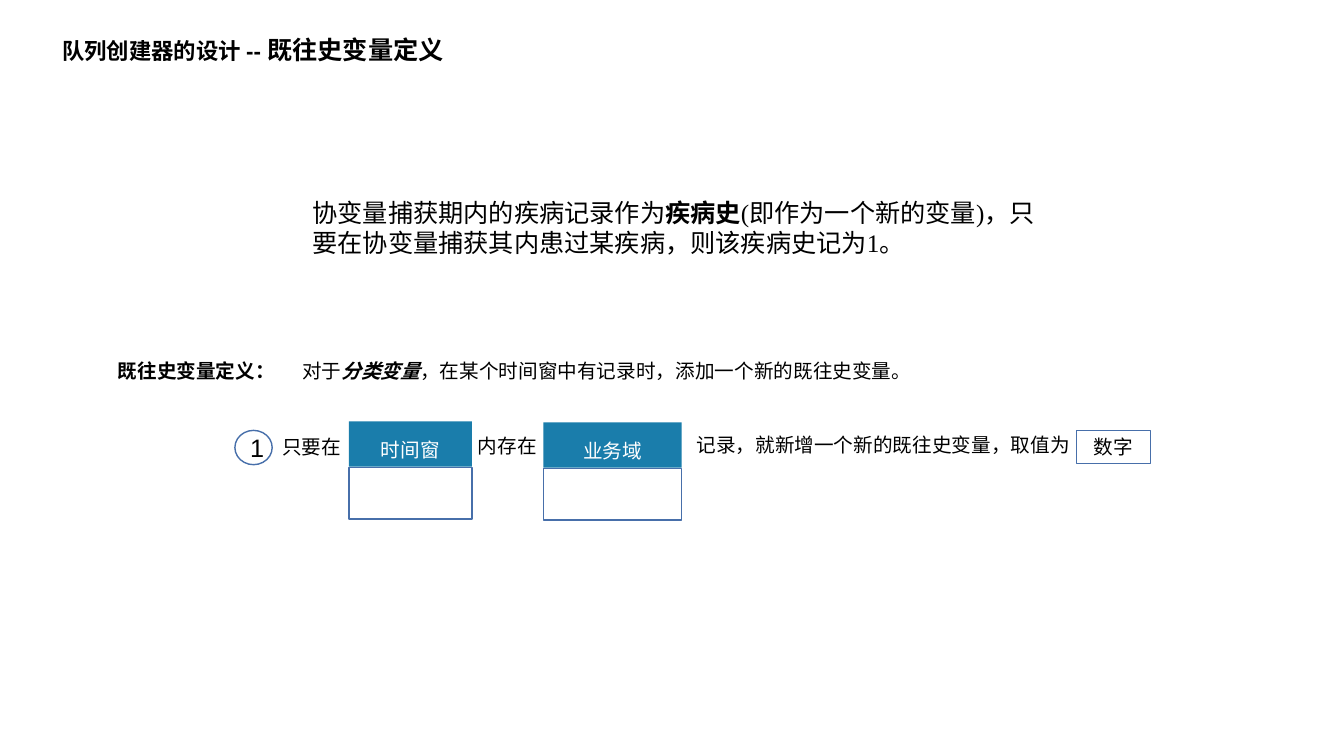
from pptx import Presentation
from pptx.dml.color import RGBColor
from pptx.enum import shapes, text
from pptx.util import Inches, Pt

BLUE, EDGE, BLACK, WHITE = "1A7DAB", "476FAA", "000000", "FFFFFF"
RECT = shapes.MSO_SHAPE.RECTANGLE
OVAL = shapes.MSO_SHAPE.OVAL


def color(code):
    return RGBColor.from_string(code)


def write(shape, runs, size=14, font="Arial", ink=BLACK, center=False, middle=False, gap=None):
    frame = shape.text_frame
    frame.word_wrap = True
    frame.vertical_anchor = text.MSO_ANCHOR.MIDDLE if middle else text.MSO_ANCHOR.TOP
    para = frame.paragraphs[0]
    para.alignment = text.PP_ALIGN.CENTER if center else text.PP_ALIGN.LEFT
    if gap:
        para.line_spacing = gap
    for words, style in runs:
        run = para.add_run()
        run.text = words
        face = run.font
        face.size = Pt(style.get("size", size))
        face.name = style.get("font", font)
        face.bold = style.get("bold", False)
        face.italic = style.get("italic", False)
        face.color.rgb = color(ink)


def label(slide, box, runs, **form):
    write(slide.shapes.add_textbox(*map(Inches, box)), runs, **form)


def block(parent, kind, box, fill=None, line=None):
    shape = parent.shapes.add_shape(kind, *map(Inches, box))
    shape.shadow.inherit = False
    if fill:
        shape.fill.solid()
        shape.fill.fore_color.rgb = color(fill)
    else:
        shape.fill.background()
    if line:
        shape.line.color.rgb = color(line)
        shape.line.width = Pt(1)
    else:
        shape.line.fill.background()
    return shape


def field(slide, left, top, width, name):
    group = slide.shapes.add_group_shape()
    head = block(group, RECT, (left, top, width, 0.45), fill=BLUE)
    write(head, [(name, {})], ink=WHITE, center=True, gap=1.5)
    block(group, RECT, (left, top + 0.46, width, 0.51), line=EDGE)


def badge(slide, kind, box, words, size):
    shape = block(slide, kind, box, line=EDGE)
    write(shape, [(words, {})], size=size, center=True, middle=True)


def main():
    deck = Presentation()
    deck.slide_width, deck.slide_height = Inches(13.33), Inches(7.5)
    slide = deck.slides.add_slide(deck.slide_layouts[6])
    bold = {"bold": True}
    sans = {"font": "Arial"}

    label(slide, (0.52, 0.29, 5.27, 0.4),
          [("队列创建器的设计 -- ", bold), ("既往史变量定义", {"bold": True, "size": 18})], size=16)
    label(slide, (3, 1.91, 7.45, 0.71),
          [("协变量捕获期内的疾病记录作为", {}), ("疾病史", bold), ("(", {}),
           ("即作为一个新的变量", sans), (")", {}),
           ("，只要在协变量捕获其内患过某疾病，则该疾病史记为", sans),
           ("1", {}), ("。", sans)], size=18, font="Times New Roman")
    label(slide, (1.07, 3.39, 1.71, 0.45), [("既往史变量定义：", bold)], gap=1.5)
    label(slide, (2.9, 3.51, 7.16, 0.34),
          [("对于", {}), ("分类变量", {"bold": True, "italic": True}),
           ("，在某个时间窗中有记录时，添加一个新的既往史变量。", {})])

    field(slide, 5.39, 4.19, 1.37, "业务域")
    field(slide, 3.46, 4.18, 1.22, "时间窗")
    for left, top, width, words in (
        (2.7, 4.27, 1.08, "只要在"),
        (4.64, 4.26, 0.82, "内存在"),
        (6.81, 4.25, 3.96, "记录，就新增一个新的既往史变量，取值为"),
    ):
        label(slide, (left, top, width, 0.34), [(words, {})])
    badge(slide, RECT, (10.68, 4.27, 0.73, 0.33), "数字", 14)
    badge(slide, OVAL, (2.33, 4.27, 0.37, 0.34), "1", 18)

    deck.save("out.pptx")


if __name__ == "__main__":
    main()
